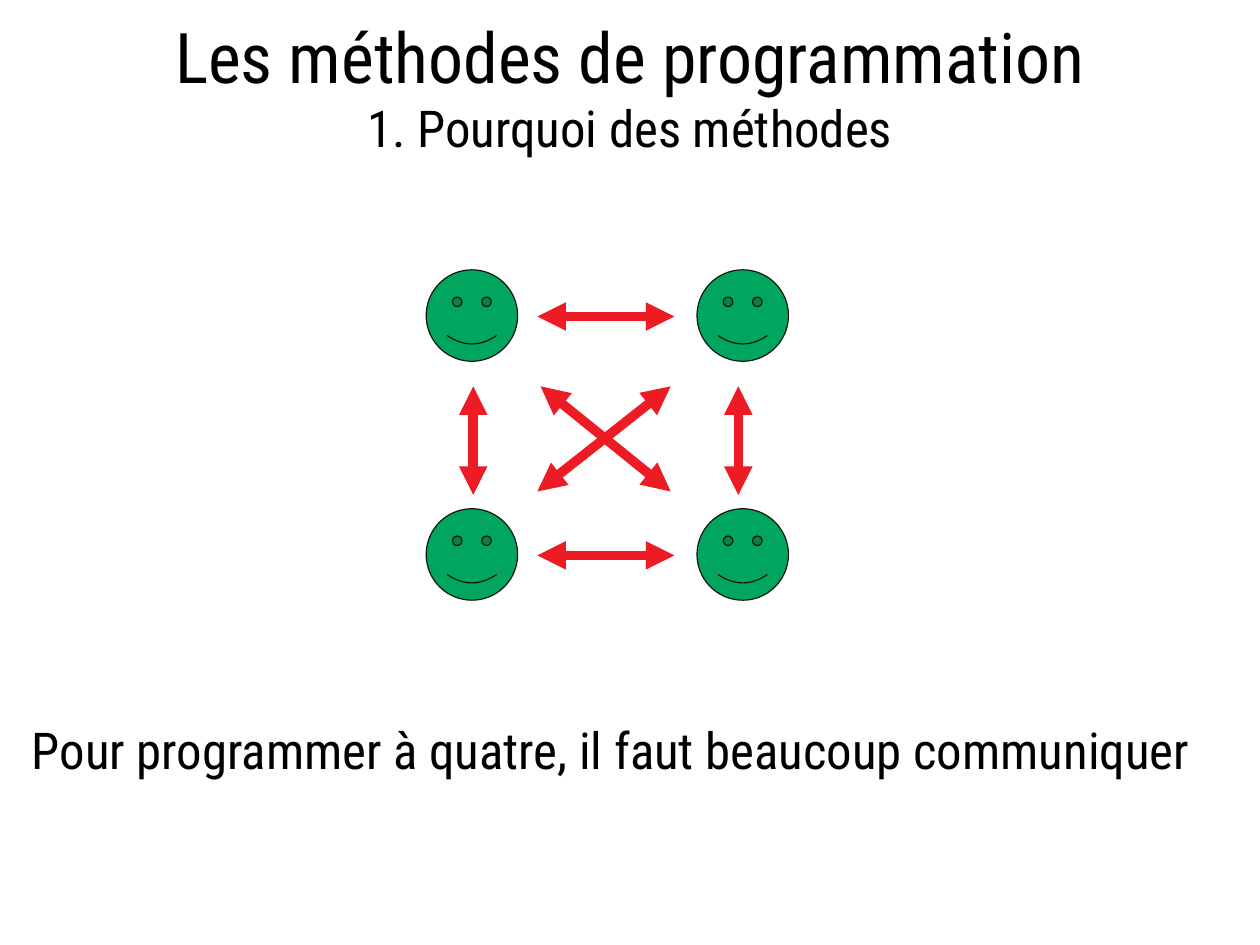
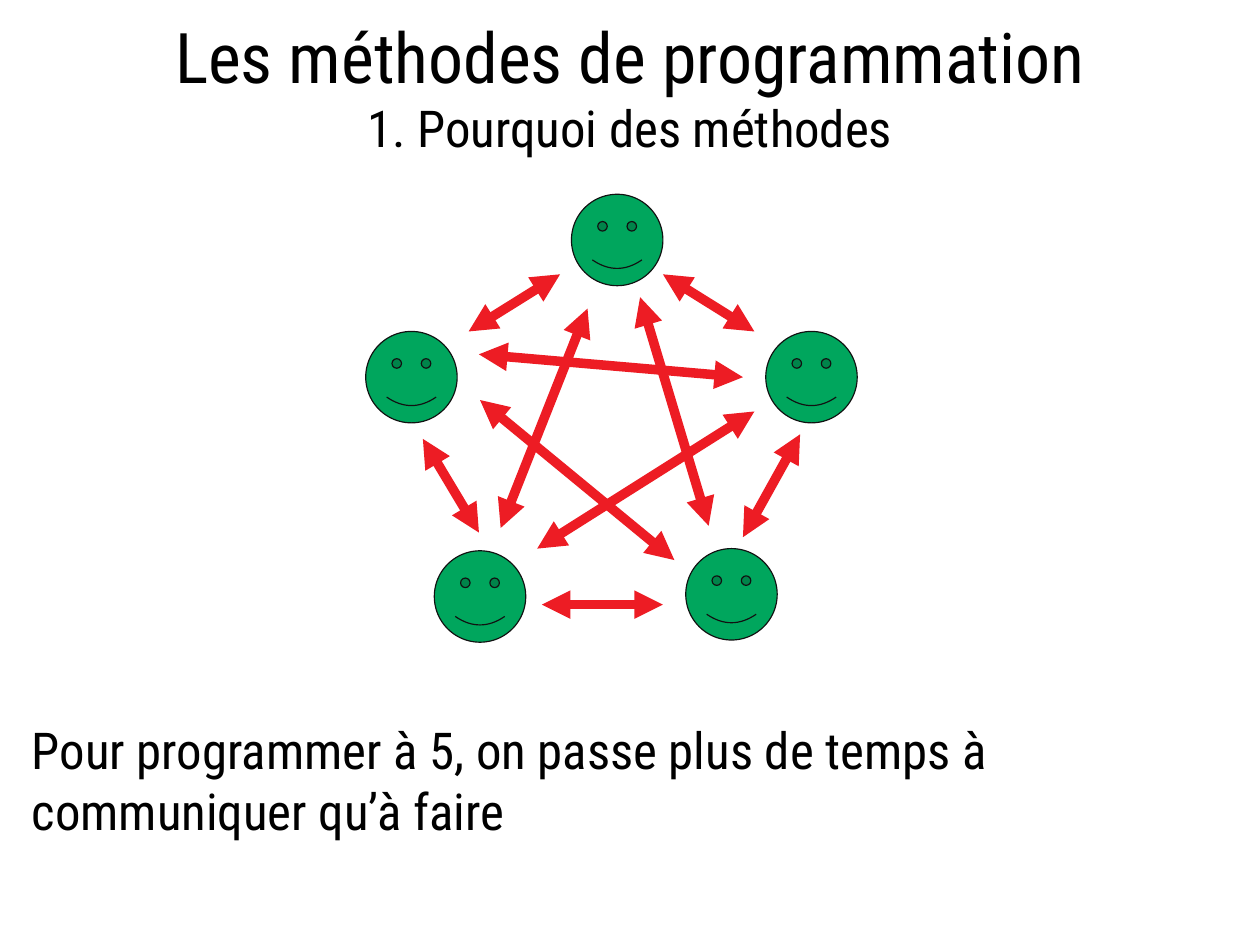
from itertools import product

from lxml.etree import SubElement
from pptx import Presentation
from pptx.dml.color import RGBColor
from pptx.enum.shapes import MSO_CONNECTOR, MSO_SHAPE
from pptx.enum.text import MSO_ANCHOR, MSO_AUTO_SIZE, PP_ALIGN
from pptx.oxml.ns import qn
from pptx.util import Pt

BLACK = RGBColor(0x00, 0x00, 0x00)
OUTLINE = RGBColor(0x11, 0x11, 0x11)
GREEN = RGBColor(0x00, 0xA6, 0x5D)
RED = RGBColor(0xED, 0x1C, 0x24)
FONT = "Roboto Condensed"
FACE_SIZE = 57.6
TITLE_BOX = (20, 5.8, 754, 96.5)
MESSAGE_BOX = (20, 452.5, 754, 115)


def add_run(p, text, size=32, font=FONT, color=BLACK):
    """Add formatted text to a paragraph."""
    r = p.add_run()
    r.text = text
    r.font.size = Pt(size)
    r.font.name = font
    r.font.color.rgb = color


def prepare_frame(sp, box, anchor, align):
    """Place a text shape in its box and return its first paragraph."""
    sp.left, sp.top, sp.width, sp.height = map(Pt, box)
    tf = sp.text_frame
    tf.word_wrap = True
    tf.auto_size = MSO_AUTO_SIZE.NONE
    tf.margin_left = tf.margin_top = tf.margin_right = tf.margin_bottom = 0
    tf.vertical_anchor = anchor
    p = tf.paragraphs[0]
    p.alignment = align
    return p


def add_title(s, box):
    """Fill the title placeholder with the course and chapter names."""
    p = prepare_frame(s.shapes.title, box, MSO_ANCHOR.MIDDLE, PP_ALIGN.CENTER)
    add_run(p, "Les méthodes de programmation", size=44)
    p.add_line_break()
    add_run(p, "1. Pourquoi des méthodes")


def add_message(s, box, text):
    """Write the conclusion under the network."""
    sp = s.shapes.add_textbox(*map(Pt, box))
    p = prepare_frame(sp, box, MSO_ANCHOR.TOP, PP_ALIGN.LEFT)
    add_run(p, text)


def add_face(s, left, top):
    """Draw one programmer."""
    sp = s.shapes.add_shape(MSO_SHAPE.SMILEY_FACE, Pt(left), Pt(top),
                            Pt(FACE_SIZE), Pt(FACE_SIZE))
    sp.adjustments[0] = 0.093
    sp.shadow.inherit = False
    sp.fill.solid()
    sp.fill.fore_color.rgb = GREEN
    sp.line.color.rgb = OUTLINE
    sp.line.width = Pt(0)


def add_arrow(s, x1, y1, x2, y2):
    """Draw one double-headed communication arrow."""
    cn = s.shapes.add_connector(MSO_CONNECTOR.STRAIGHT, *map(Pt, (x1, y1, x2, y2)))
    cn.line.color.rgb = RED
    cn.line.width = Pt(6)
    ln = cn.line._get_or_add_ln()
    for end in ("a:headEnd", "a:tailEnd"):
        SubElement(ln, qn(end), type="triangle")
    SubElement(cn._element.spPr, qn("a:effectLst"))


def add_network(s, left, top, faces, arrows):
    """Draw programmers and their arrows relative to a corner."""
    for x, y in faces:
        add_face(s, left + x, top + y)
    for x1, y1, x2, y2 in arrows:
        add_arrow(s, left + x1, top + y1, left + x2, top + y2)


def add_team_slide(prs, message, **network):
    """Build a slide with a title, a team network and a message."""
    s = prs.slides.add_slide(prs.slide_layouts[5])
    add_title(s, TITLE_BOX)
    add_message(s, MESSAGE_BOX, message)
    add_network(s, **network)


COLUMN_STEP, ROW_STEP = 170.6, 150.5
FOUR_FACES = list(product((0, COLUMN_STEP), (0, ROW_STEP)))
FOUR_ARROWS = [
    *((70, y, 156.3, y) for y in (29.4, 29.4 + ROW_STEP)),
    *((x, 73.4, x, 141.8) for x in (29.6, 196.6)),
    (154, 73.4, 70, 139.6),
    (72, 73.4, 154, 139.6),
]

FIVE_FACES = [(43.2, 224.6), (201.6, 223.2), (0, 86.4), (252, 86.4), (129.6, 0)]
FIVE_ARROWS = [
    (108, 223.2, 244.8, 136.8),
    (85, 210.2, 139.7, 72),
    (71.3, 213.1, 36, 154.1),
    (110.9, 258.5, 187.2, 258.5),
    (237.6, 216, 273.6, 151.2),
    (187.2, 50.4, 244.8, 86.4),
    (122.4, 50.4, 64.8, 86.4),
    (172.8, 64.8, 216, 208.8),
    (72, 129.6, 194.4, 230.4),
    (71.3, 100.8, 237.6, 115.2),
]

prs = Presentation()
prs.slide_width, prs.slide_height = Pt(793.7), Pt(595.3)
add_team_slide(prs, "Pour programmer à quatre, il faut beaucoup communiquer",
               left=268.5, top=170, faces=FOUR_FACES, arrows=FOUR_ARROWS)
add_team_slide(prs, "Pour programmer à 5, on passe plus de temps à communiquer qu’à faire",
               left=230.4, top=122.4, faces=FIVE_FACES, arrows=FIVE_ARROWS)
prs.save("out.pptx")
